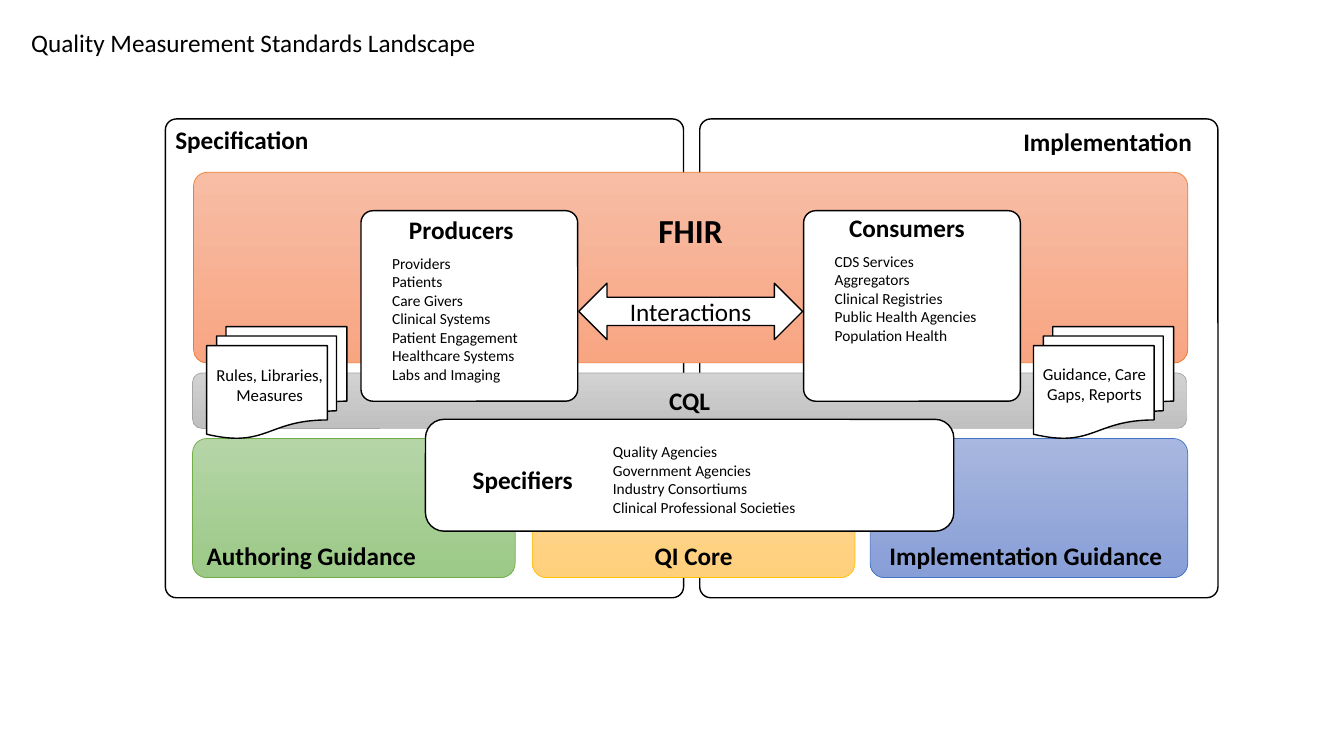
from pptx import Presentation
from pptx.dml.color import RGBColor
from pptx.enum import shapes, text
from pptx.util import Inches, Pt

PRESET = shapes.MSO_SHAPE
ALIGN = text.PP_ALIGN
ANCHOR = text.MSO_ANCHOR
color = RGBColor.from_string


def add_box(preset, at, fills=("FFFFFF",), outline="000000", weight=1, corner=None):
    """Draw a preset shape; two fills make a top-to-bottom gradient."""
    box = slide.shapes.add_shape(preset, *map(Inches, at))
    box.shadow.inherit = False
    if len(fills) == 2:
        box.fill.gradient()
        box.fill.gradient_angle = 270
        for stop, fill in zip(box.fill.gradient_stops, fills):
            stop.color.rgb = color(fill)
    else:
        box.fill.solid()
        box.fill.fore_color.rgb = color(fills[0])
    box.line.color.rgb = color(outline)
    box.line.width = Pt(weight)
    if corner is not None:
        box.adjustments[0] = corner
    return box


def write(holder, lines, size=18, bold=False, align=ALIGN.LEFT, anchor=ANCHOR.TOP, wrap=True):
    frame = holder.text_frame
    frame.word_wrap = wrap
    frame.auto_size = text.MSO_AUTO_SIZE.NONE
    frame.vertical_anchor = anchor
    for index, line in enumerate(lines):
        paragraph = frame.paragraphs[0] if index == 0 else frame.add_paragraph()
        paragraph.alignment = align
        run = paragraph.add_run()
        run.text = line
        run.font.name = "Calibri"
        run.font.size = Pt(size)
        run.font.bold = bold
        run.font.color.rgb = color("000000")
    return frame


deck = Presentation()
deck.slide_width, deck.slide_height = Inches(13.33), Inches(7.5)
slide = deck.slides.add_slide(deck.slide_layouts[5])

title = slide.shapes.title
title.left, title.top, title.width, title.height = map(Inches, (0.21, 0.22, 4.66, 0.4))
write(title, ["Quality Measurement Standards Landscape"], wrap=False)

# Specification and implementation halves
for left in (1.64, 6.94):
    add_box(PRESET.ROUNDED_RECTANGLE, (left, 1.18, 5.14, 4.75), corner=0.023)

# Standards: label, place, gradient, outline, corner, size, alignment, anchor, insets
standards = [
    ("QI Core", (5.28, 4.35, 3.2, 1.38), ("FFDB9E", "FFD07C"), "FFC000", 0.103,
     18, ALIGN.CENTER, ANCHOR.BOTTOM, {"margin_bottom": 0.03}),
    ("CQL", (1.91, 3.7, 9.86, 0.55), ("D2D2D2", "C0C0C0"), "A5A5A5", 0.167,
     18, ALIGN.CENTER, ANCHOR.MIDDLE, {}),
    ("Implementation Guidance", (8.63, 4.35, 3.15, 1.38), ("A8B7DF", "889ED7"), "4472C4", 0.103,
     18, ALIGN.RIGHT, ANCHOR.BOTTOM, {"margin_bottom": 0.03, "margin_right": 0.21}),
    ("Authoring Guidance", (1.91, 4.35, 3.2, 1.38), ("B5D5A7", "9CC987"), "70AD47", 0.103,
     18, ALIGN.LEFT, ANCHOR.BOTTOM, {"margin_bottom": 0.03}),
    ("FHIR", (1.92, 1.71, 9.86, 1.89), ("F7BDA5", "F8A582"), "ED7D31", 0.071,
     24, ALIGN.CENTER, ANCHOR.TOP, {"margin_top": 0.33}),
]
for label, at, gradient, outline, corner, size, align, anchor, insets in standards:
    standard = add_box(PRESET.ROUNDED_RECTANGLE, at, gradient, outline, 0.5, corner)
    frame = write(standard, [label], size, True, align, anchor)
    for side, inset in insets.items():
        setattr(frame, side, Inches(inset))

# Producer, consumer and specifier cards, the arrow and the document stacks
for left in (3.58, 7.97):
    add_box(PRESET.ROUNDED_RECTANGLE, (left, 2.09, 2.15, 1.89), corner=0.063)
add_box(PRESET.LEFT_RIGHT_ARROW, (5.74, 2.81, 2.22, 0.56))
add_box(PRESET.ROUNDED_RECTANGLE, (4.22, 4.16, 5.24, 1.11))
for left in (2.05, 10.25):
    add_box(PRESET.FLOWCHART_MULTIDOCUMENT, (left, 3.24, 1.39, 1.11))

# Captions: place, lines, size, bold, alignment
captions = [
    ((1.64, 1.18, 3.35, 0.4), ["Specification"], 18, True, ALIGN.LEFT),
    ((9.14, 1.2, 2.78, 0.4), ["Implementation"], 18, True, ALIGN.RIGHT),
    ((3.5, 2.08, 2.15, 0.4), ["Producers"], 18, True, ALIGN.CENTER),
    ((7.92, 2.06, 2.15, 0.4), ["Consumers"], 18, True, ALIGN.CENTER),
    ((4.11, 4.56, 2.15, 0.4), ["Specifiers"], 18, True, ALIGN.CENTER),
    ((6.07, 2.89, 1.56, 0.4), ["Interactions"], 18, False, ALIGN.CENTER),
    ((10.16, 3.56, 1.39, 0.5), ["Guidance, Care Gaps, Reports"], 12, False, ALIGN.CENTER),
    ((1.97, 3.57, 1.41, 0.5), ["Rules, Libraries, Measures"], 12, False, ALIGN.CENTER),
    ((3.79, 2.47, 1.62, 1.4),
     ["Providers", "Patients", "Care Givers", "Clinical Systems", "Patient Engagement",
      "Healthcare Systems", "Labs and Imaging"], 11, False, ALIGN.LEFT),
    ((8.18, 2.45, 1.76, 1.03),
     ["CDS Services", "Aggregators", "Clinical Registries", "Public Health Agencies",
      "Population Health"], 11, False, ALIGN.LEFT),
    ((5.98, 4.34, 2.15, 0.84),
     ["Quality Agencies", "Government Agencies", "Industry Consortiums",
      "Clinical Professional Societies"], 11, False, ALIGN.LEFT),
]
for at, lines, size, bold, align in captions:
    write(slide.shapes.add_textbox(*map(Inches, at)), lines, size, bold, align)

deck.save("out.pptx")
